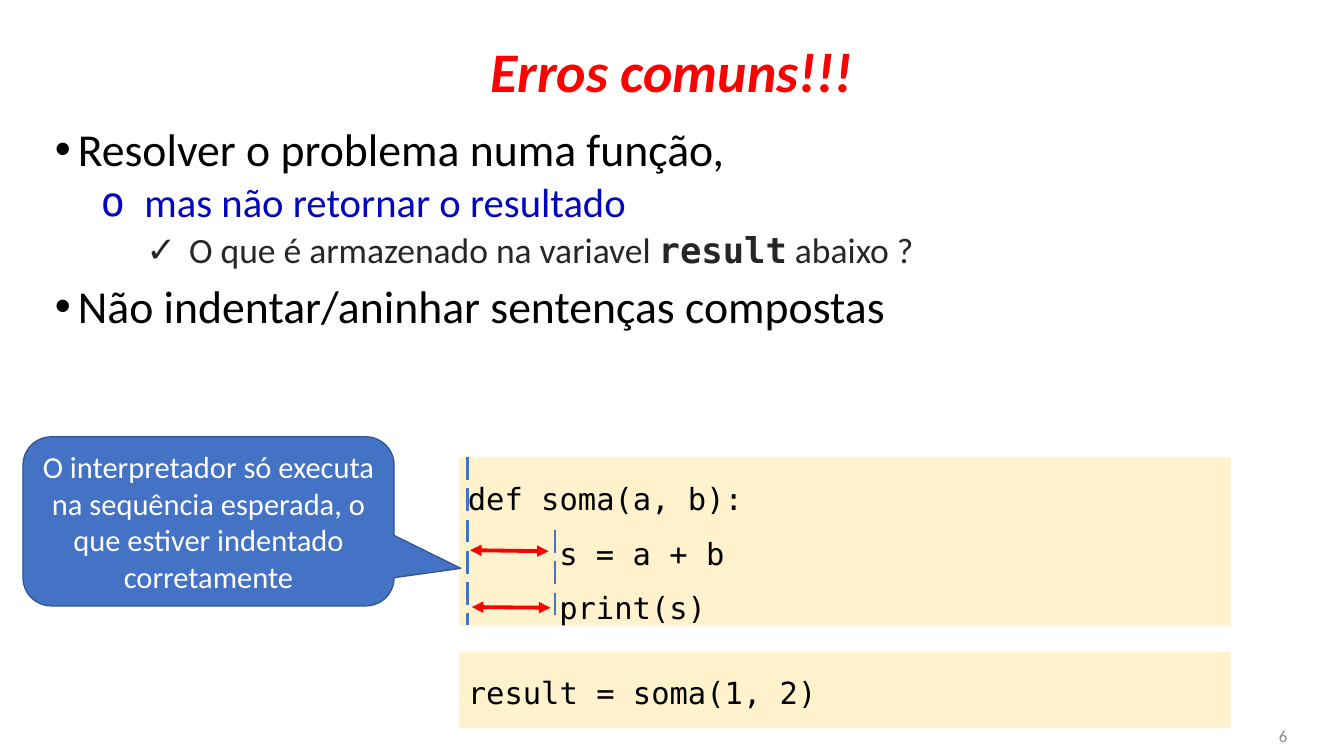
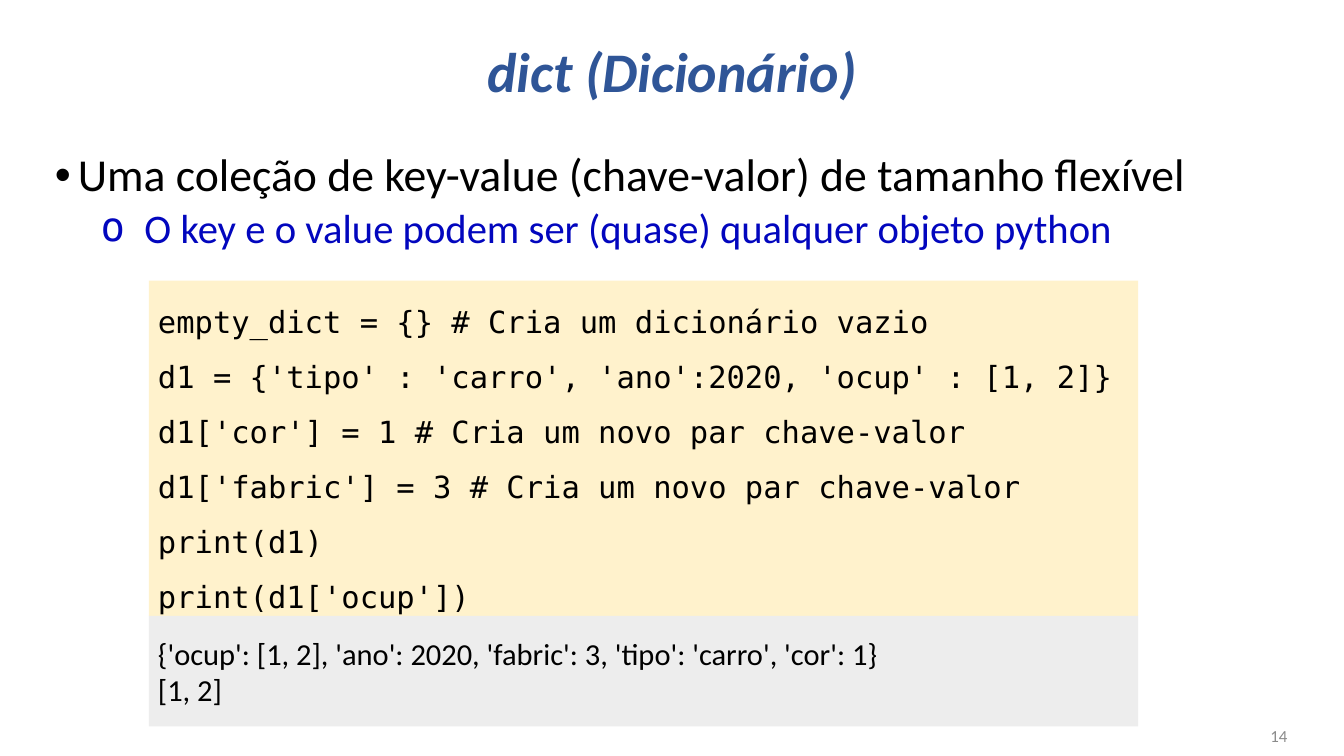
from lxml import etree
from pptx import Presentation
from pptx import util as u
from pptx.dml import color
from pptx.enum import dml, shapes, text
from pptx.oxml import ns

SANS, MONO = "Calibri", "DejaVu Sans Mono"
RED, BLUE, DARK_BLUE, BLACK = "FF0000", "4472C4", "2F5597", "000000"
CODE_FILL, OUTPUT_FILL, LEFT = "FFF2CC", "EDEDED", text.PP_ALIGN.LEFT
CENTER, RIGHT = text.PP_ALIGN.CENTER, text.PP_ALIGN.RIGHT
TOP, MIDDLE = text.MSO_ANCHOR.TOP, text.MSO_ANCHOR.MIDDLE
FIXED, GROW = text.MSO_AUTO_SIZE.NONE, text.MSO_AUTO_SIZE.SHAPE_TO_FIT_TEXT
RECTANGLE = shapes.MSO_SHAPE.RECTANGLE
CALLOUT = shapes.MSO_SHAPE.ROUNDED_RECTANGULAR_CALLOUT
BODY_BOTTOM = 20.62

LEVELS = [
    {"size": 36, "hex": BLACK, "before": 10, "margin": 0.64, "hang": 0.64, "bullet": "•", "bullet_font": "Arial"},
    {"size": 32, "hex": "0206BE", "before": 5, "margin": 2.49, "hang": 1.22, "bullet": "o", "bullet_font": MONO},
    {"size": 28, "hex": "262626", "before": 5, "margin": 3.73, "hang": 1.19, "bullet": "✓", "bullet_font": SANS},
]
TITLE = {"size": 44, "bold": True, "italic": True, "align": CENTER, "spacing": 0.9}
NUMBER = {"size": 13.3, "hex": "8B8B8B", "align": RIGHT}
CODE = {"font": MONO, "spacing": 1.5, "anchor": TOP, "fit": GROW, "tab": 2.54}
CODE_BOX = {"kind": RECTANGLE, "fill": CODE_FILL, "style": CODE}
OUTPUT_BOX = {"kind": RECTANGLE, "fill": OUTPUT_FILL, "style": {}}
CALLOUT_BOX = {"kind": CALLOUT, "fill": BLUE, "line": "325491",
               "adjust": (0.68, 0.278, 0.167),
               "style": {"hex": "FFFFFF", "align": CENTER}}
ARROW = {"hex": RED, "width": 3, "dash": None, "heads": True}
GUIDE = {"hex": BLUE, "width": 2.25, "dash": dml.MSO_LINE.LONG_DASH, "heads": False}

PAGES = [
    {
        "title": "Erros comuns!!!", "title_hex": RED, "number": "6", "body_top": 3.4,
        "topics": [
            (0, [("Resolver o problema numa função,", {})]),
            (1, [("mas não retornar o resultado", {})]),
            (2, [("O que é armazenado na variavel ", {}),
                 ("result", {"name": MONO, "bold": True}),
                 (" abaixo ?", {})]),
            (0, [("Não indentar/aninhar sentenças compostas", {})]),
        ],
        "boxes": [
            (CODE_BOX, (12.75, 12.7, 21.44, 4.7),
             ["def soma(a, b):", "\ts = a + b", "\tprint(s)"]),
            (CODE_BOX, (12.75, 18.11, 21.44, 2.13), ["result = soma(1, 2)"]),
            (CALLOUT_BOX, (0.64, 12.14, 10.31, 4.7),
             ["O interpretador só executa na sequência esperada, "
              "o que estiver indentado corretamente"]),
        ],
        "lines": [
            (ARROW, (13.06, 15.29, 15.24, 15.32)),
            (ARROW, (13.11, 16.87, 15.29, 16.89)),
            (GUIDE, (12.98, 12.7, 12.98, 17.37)),
            (GUIDE, (15.42, 14.73, 15.42, 17.2)),
        ],
    },
    {
        "title": "dict (Dicionário)", "title_hex": DARK_BLUE, "number": "14", "body_top": 4.11,
        "topics": [
            (0, [("Uma coleção de key-value (chave-valor) de tamanho flexível", {})]),
            (1, [("O key e o value podem ser (quase) qualquer objeto python", {})]),
        ],
        "boxes": [
            (CODE_BOX, (4.14, 7.8, 27.48, 9.32),
             ["empty_dict = {} # Cria um dicionário vazio",
              "d1 = {'tipo' : 'carro', 'ano':2020, 'ocup' : [1, 2]} "
              "d1['cor'] = 1 # Cria um novo par chave-valor",
              "d1['fabric'] = 3 # Cria um novo par chave-valor",
              "print(d1)",
              "print(d1['ocup'])"]),
            (OUTPUT_BOX, (4.14, 17.12, 27.48, 3.07),
             ["{'ocup': [1, 2], 'ano': 2020, 'fabric': 3, 'tipo': 'carro', 'cor': 1}",
              "[1, 2]"]),
        ],
        "lines": [],
    },
]


def rgb(value):
    return color.RGBColor.from_string(value)


def write(frame, paragraphs, style):
    settings = {"word_wrap": True, "auto_size": style.get("fit", FIXED),
                "vertical_anchor": style.get("anchor", MIDDLE)}
    for key, value in settings.items():
        setattr(frame, key, value)
    for index, (level, runs) in enumerate(paragraphs):
        paragraph = frame.add_paragraph() if index else frame.paragraphs[0]
        look = {**style, **(LEVELS[level] if level is not None else {})}
        layout = {"alignment": look.get("align", LEFT),
                  "line_spacing": look.get("spacing", 1.0),
                  "space_before": u.Pt(look.get("before", 0)),
                  "level": level or 0}
        for key, value in layout.items():
            setattr(paragraph, key, value)
        properties = paragraph._p.get_or_add_pPr()
        if level is not None:
            properties.set("marL", str(u.Cm(look["margin"])))
            properties.set("indent", str(-u.Cm(look["hang"])))
            etree.SubElement(properties, ns.qn("a:buFont")).set("typeface", look["bullet_font"])
            etree.SubElement(properties, ns.qn("a:buChar")).set("char", look["bullet"])
        if "tab" in look:
            stops = etree.SubElement(properties, ns.qn("a:tabLst"))
            etree.SubElement(stops, ns.qn("a:tab"), pos=str(u.Cm(look["tab"])), algn="l")
        for words, changes in runs:
            run = paragraph.add_run()
            run.text = words
            run.font.color.rgb = rgb(look.get("hex", BLACK))
            font = {"name": look.get("font", SANS), "size": u.Pt(look.get("size", 24)),
                    "bold": look.get("bold", False), "italic": look.get("italic", False)}
            for key, value in {**font, **changes}.items():
                setattr(run.font, key, value)


deck = Presentation()
deck.slide_width, deck.slide_height = u.Cm(37.34), u.Cm(21.01)

for page in PAGES:
    slide = deck.slides.add_slide(deck.slide_layouts[1])
    title, body = slide.placeholders
    number = slide.shapes.add_textbox(0, 0, 0, 0)
    places = [
        (title, (2.57, 0.05, 32.21, 4.06)),
        (body, (1.27, page["body_top"], 34.37, BODY_BOTTOM - page["body_top"])),
        (number, (27.61, 19.89, 8.41, 1.12)),
    ]
    for part, place in places:
        for key, value in zip(("left", "top", "width", "height"), place):
            setattr(part, key, u.Cm(value))

    write(title.text_frame, [(None, [(page["title"], {})])], {**TITLE, "hex": page["title_hex"]})
    write(body.text_frame, page["topics"], {"spacing": 0.9, "anchor": TOP})
    write(number.text_frame, [(None, [(page["number"], {})])], NUMBER)

    for look, place, sentences in page["boxes"]:
        box = slide.shapes.add_shape(look["kind"], *map(u.Cm, place))
        box.shadow.inherit = False
        box.fill.solid()
        box.fill.fore_color.rgb = rgb(look["fill"])
        if "line" in look:
            box.line.color.rgb = rgb(look["line"])
            box.line.width = u.Pt(1)
        else:
            box.line.fill.background()
        for index, value in enumerate(look.get("adjust", ())):
            box.adjustments[index] = value
        write(box.text_frame, [(None, [(sentence, {})]) for sentence in sentences], look["style"])

    for look, ends in page["lines"]:
        stroke = slide.shapes.add_connector(shapes.MSO_CONNECTOR.STRAIGHT, *map(u.Cm, ends))
        stroke.line.color.rgb = rgb(look["hex"])
        stroke.line.width = u.Pt(look["width"])
        stroke.line.dash_style = look["dash"]
        if look["heads"]:
            for end in ("a:headEnd", "a:tailEnd"):
                etree.SubElement(stroke.line._get_or_add_ln(), ns.qn(end)).set("type", "triangle")
        etree.SubElement(stroke._element.spPr, ns.qn("a:effectLst"))

deck.save("out.pptx")
